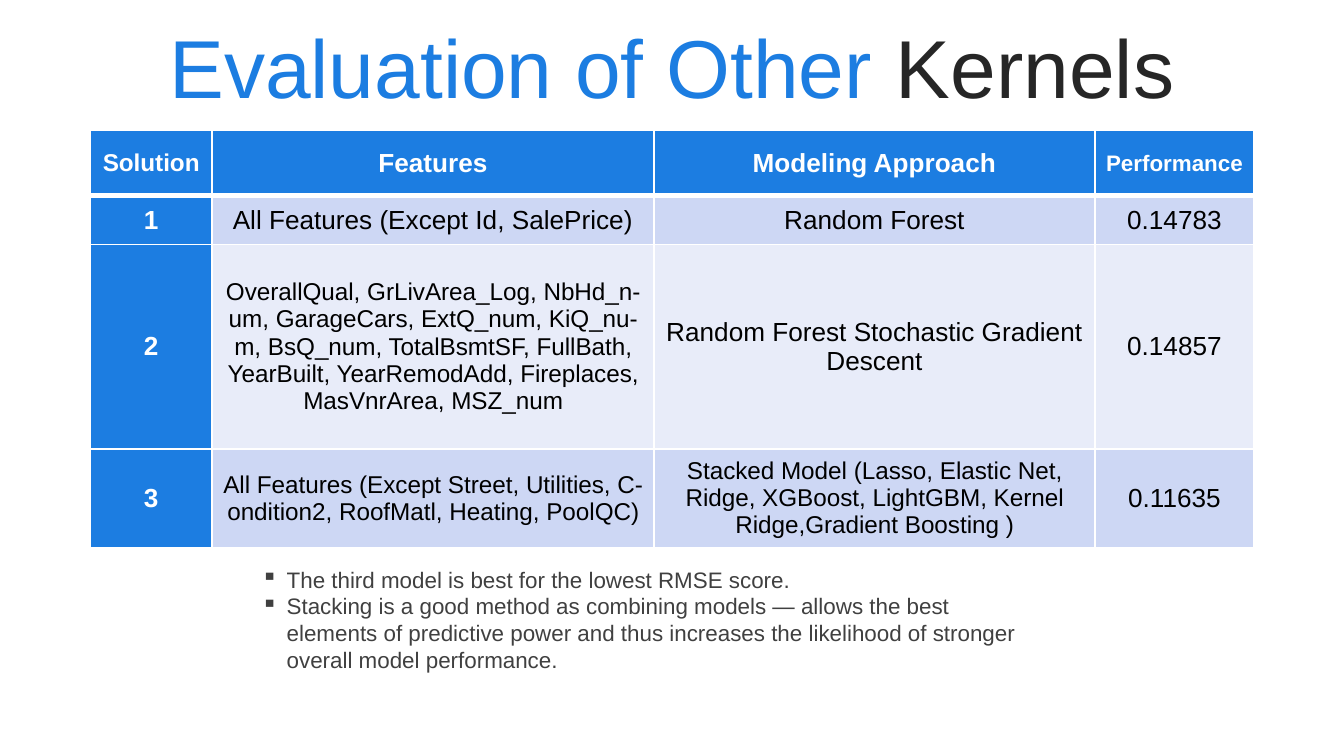
from lxml.etree import SubElement
from pptx import Presentation
from pptx.dml.color import RGBColor
from pptx.enum.text import MSO_ANCHOR, MSO_AUTO_SIZE, PP_ALIGN
from pptx.oxml import parse_xml
from pptx.oxml.ns import nsdecls, qn
from pptx.util import Pt

BLUE = RGBColor(0x1C, 0x7D, 0xE1)
DARK = RGBColor(0x26, 0x26, 0x26)
GRAY = RGBColor(0x40, 0x40, 0x40)
WHITE = RGBColor(0xFF, 0xFF, 0xFF)
BLACK = RGBColor(0, 0, 0)
BANDS = RGBColor(0xCD, 0xD7, 0xF4), RGBColor(0xE8, 0xEC, 0xF9)

COLS = [65.5, 236.5, 236.5, 85]
ROWS = [35, 26, 109.5, 53]
# Each cell holds its text and its font size.
CELLS = [
    [("Solution", 13), ("Features", 14), ("Modeling Approach", 14),
     ("Performance", 12)],
    [("1", 14), ("All Features (Except Id, SalePrice)", 14),
     ("Random Forest", 14), ("0.14783", 14)],
    [("2", 14),
     ("OverallQual, GrLivArea_Log, NbHd_n-um, GarageCars, ExtQ_num, "
      "KiQ_nu-m, BsQ_num, TotalBsmtSF, FullBath, YearBuilt, YearRemodAdd, "
      "Fireplaces, MasVnrArea, MSZ_num", 13),
     ("Random Forest Stochastic Gradient Descent", 14), ("0.14857", 14)],
    [("3", 14),
     ("All Features (Except Street, Utilities, C-ondition2, RoofMatl, "
      "Heating, PoolQC)", 13),
     ("Stacked Model (Lasso, Elastic Net,\nRidge, XGBoost, LightGBM, Kernel\n"
      "Ridge,Gradient Boosting )", 13), ("0.11635", 14)],
]
NOTES = [
    "The third model is best for the lowest RMSE score.",
    "Stacking is a good method as combining models — allows the best elements "
    "of predictive power and thus increases the likelihood of stronger "
    "overall model performance.",
]


def apply(item, form):
    for name, value in form.items():
        setattr(item, name, value)


class Deck:
    def __init__(self, face):
        self.face = face
        self.file = Presentation()
        apply(self.file, {"slide_width": Pt(720), "slide_height": Pt(405)})
        self.slide = self.file.slides.add_slide(self.file.slide_layouts[5])

    def style(self, font, size, color, bold=False):
        apply(font, {"name": self.face, "size": Pt(size), "bold": bold})
        font.color.rgb = color

    def place(self, shape, left, top, width, height):
        apply(shape, {"left": Pt(left), "top": Pt(top),
                      "width": Pt(width), "height": Pt(height)})

    def title(self, parts, size, *box):
        shape = self.slide.shapes.title
        self.place(shape, *box)
        frame = shape.text_frame
        apply(frame, {"vertical_anchor": MSO_ANCHOR.MIDDLE,
                      "auto_size": MSO_AUTO_SIZE.NONE})
        para = frame.paragraphs[0]
        para.alignment = PP_ALIGN.CENTER
        for text, color in parts:
            run = para.add_run()
            run.text = text
            self.style(run.font, size, color)

    def edge(self, cell, side, width):
        """Add a white border; sides must come in the order L, R, T, B."""
        line = SubElement(cell._tc.get_or_add_tcPr(), qn("a:ln" + side),
                          w=str(Pt(width)))
        fill = SubElement(line, qn("a:solidFill"))
        SubElement(fill, qn("a:srgbClr"), val=str(WHITE))

    def cell(self, cell, text, size, fill, color, bold, edges):
        cell.text = text
        apply(cell, {"vertical_anchor": MSO_ANCHOR.MIDDLE,
                     "margin_left": Pt(5), "margin_right": Pt(5),
                     "margin_top": 0, "margin_bottom": 0})
        for para in cell.text_frame.paragraphs:
            para.alignment = PP_ALIGN.CENTER
            for run in para.runs:
                self.style(run.font, size, color, bold)
        for side, width in edges.items():
            self.edge(cell, side, width)
        cell.fill.solid()
        cell.fill.fore_color.rgb = fill

    def table(self, left, top):
        grid = self.slide.shapes.add_table(
            len(ROWS), len(COLS), Pt(left), Pt(top),
            Pt(sum(COLS)), Pt(sum(ROWS))).table
        for col, width in zip(grid.columns, COLS):
            col.width = Pt(width)
        for row, height in zip(grid.rows, ROWS):
            row.height = Pt(height)
        for r, line in enumerate(CELLS):
            edges = {"L": 1, "R": 1, "B": 1}
            if r == 0:
                edges = {"L": 1, "R": 1, "T": 1, "B": 3}
            for c, (text, size) in enumerate(line):
                head = r == 0 or c == 0
                fill = BLUE if head else BANDS[(r - 1) % 2]
                color = WHITE if head else BLACK
                self.cell(grid.cell(r, c), text, size, fill, color, head, edges)

    def bullets(self, lines, size, color, *box):
        frame = self.slide.shapes.add_textbox(*map(Pt, box)).text_frame
        apply(frame, {"word_wrap": True,
                      "auto_size": MSO_AUTO_SIZE.SHAPE_TO_FIT_TEXT})
        for i, text in enumerate(lines):
            para = frame.add_paragraph() if i else frame.paragraphs[0]
            props = para._p.get_or_add_pPr()
            props.set("marL", str(Pt(13.5)))
            props.set("indent", str(Pt(-13.5)))
            props.append(parse_xml(f'<a:buChar {nsdecls("a")} char="▪"/>'))
            run = para.add_run()
            run.text = text
            self.style(run.font, size, color)


def main():
    deck = Deck("Arial")
    deck.title([("Evaluation of Other ", BLUE), ("Kernels", DARK)],
               44, 0, 0, 720, 70)
    deck.table(48.25, 70)
    deck.bullets(NOTES, 12, GRAY, 133, 299.5, 425.5, 80)
    deck.file.save("out.pptx")


if __name__ == "__main__":
    main()
